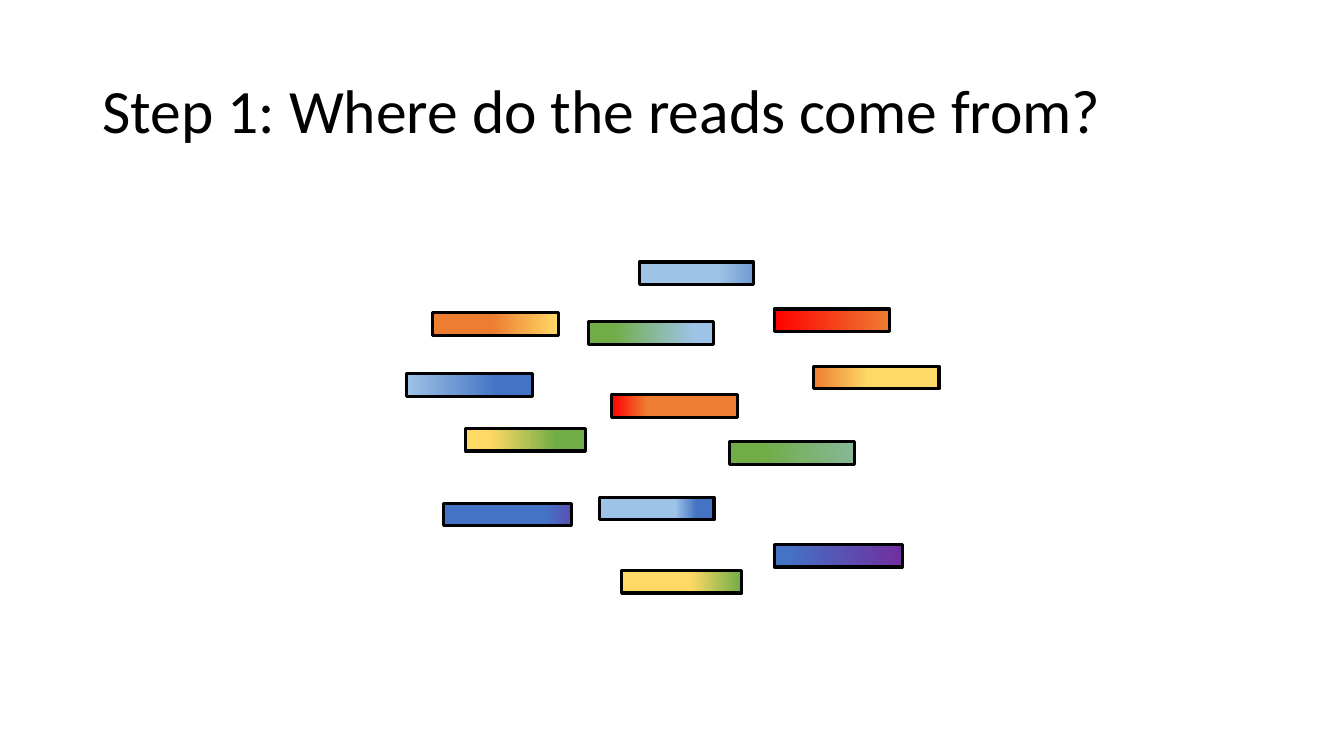
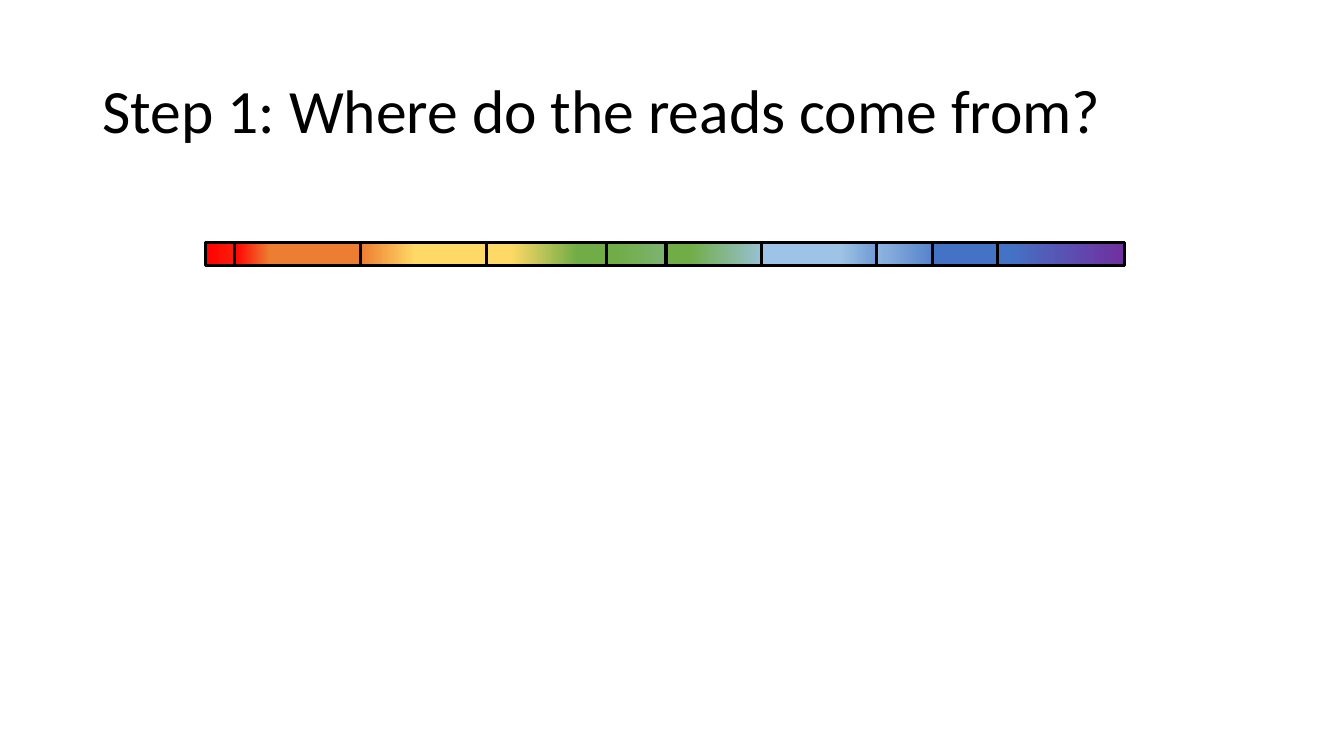
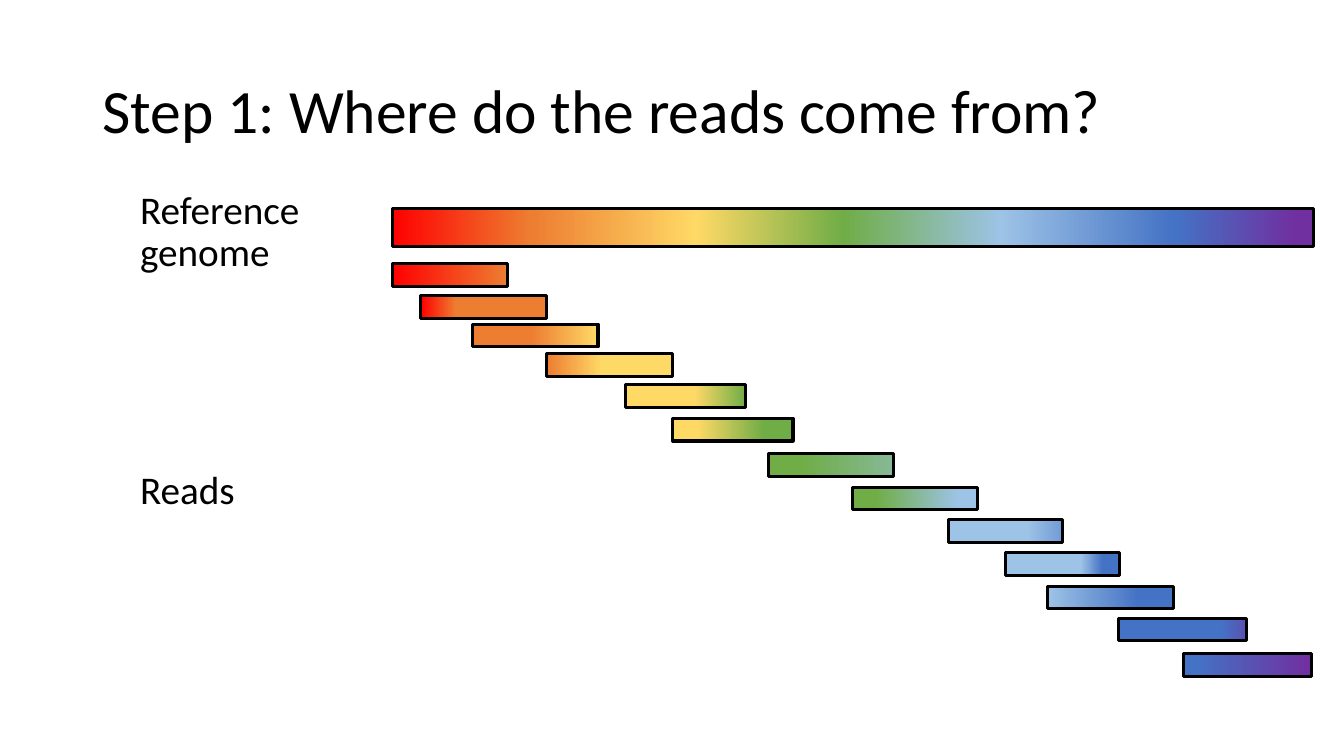
from copy import deepcopy
from dataclasses import dataclass

from pptx import Presentation
from pptx.dml.color import RGBColor
from pptx.enum.shapes import MSO_SHAPE
from pptx.enum.text import MSO_ANCHOR, PP_ALIGN
from pptx.oxml.ns import qn
from pptx.util import Emu, Pt

RECTANGLE = MSO_SHAPE.RECTANGLE
LEFT = PP_ALIGN.LEFT
TOP = MSO_ANCHOR.TOP
MIDDLE = MSO_ANCHOR.MIDDLE

COLUMNS, ROWS = 160, 90
CELL = Emu(76200)
TITLE_ONLY = 5


@dataclass(frozen=True)
class Theme:
    font: str = "Calibri"
    ink: str = "000000"
    red: str = "FF0000"
    orange: str = "ED7D31"
    yellow: str = "FFD966"
    green: str = "70AD47"
    teal: str = "87B897"
    sky: str = "9DC3E6"
    azure: str = "719BD5"
    blue: str = "4472C4"
    indigo: str = "5A51B2"
    purple: str = "7030A0"
    title_size: float = 44
    label_size: float = 28
    outline: float = 2.25
    line_spacing: float = 0.9
    space_before: float = 10


THEME = Theme()


@dataclass(frozen=True)
class Read:
    offset: float
    length: float
    stops: tuple
    scatter: tuple
    aligned_row: float


TITLE = "Step 1: Where do the reads come from?"
TITLE_BOX = (11, 4.8, 138, 17.4)
READ_HEIGHT = 2.7
MERGED_START, MERGED_ROW = 24.5, 28.9
GENOME_BOX = (46.7, 24.8, 109.7, 4.6)
GENOME_STOPS = (
    (0, THEME.red), (15, THEME.orange), (33, THEME.yellow), (49, THEME.green),
    (66, THEME.sky), (85, THEME.blue), (98, THEME.purple),
)
LABEL_COLUMN, LABEL_WIDTH, LABEL_HEIGHT = 15.5, 29.3, 12.7
LABELS = (("Reference\vgenome", 22.1), ("Reads", 55.4))

READS = (
    Read(0, 13.7, ((0, THEME.red), (100, THEME.orange)), (92.2, 36.8), 31.4),
    Read(9.5, 15, ((47, THEME.orange), (100, THEME.yellow)), (51.5, 37.2), 38.6),
    Read(44.8, 14.9, ((27, THEME.green), (100, THEME.teal)), (86.8, 52.6), 54),
    Read(3.4, 15, ((0, THEME.red), (28, THEME.orange)), (72.8, 47), 35.2),
    Read(27.8, 14.3, ((57, THEME.yellow), (100, THEME.green)), (74, 67.9), 45.8),
    Read(18.4, 15, ((0, THEME.orange), (44, THEME.yellow)), (96.8, 43.6), 42.1),
    Read(33.4, 14.3, ((20, THEME.yellow), (76, THEME.green)), (55.4, 51), 49.8),
    Read(54.8, 14.9, ((19, THEME.green), (84, THEME.sky)), (70.1, 38.3), 58),
    Read(73, 13.6, ((66, THEME.sky), (85, THEME.blue)), (71.4, 59.2), 65.8),
    Read(78, 15, ((0, THEME.sky), (73, THEME.blue)), (48.4, 44.5), 69.8),
    Read(86.5, 15.2, ((80, THEME.blue), (100, THEME.indigo)), (52.8, 59.9), 73.6),
    Read(94.2, 15.2, ((10, THEME.blue), (98, THEME.purple)), (92.2, 64.8), 77.8),
    Read(66.2, 13.6, ((69, THEME.sky), (100, THEME.azure)), (76.1, 31.2), 61.9),
)


def cells(*counts):
    return [Emu(round(count * CELL)) for count in counts]


def apply(target, values):
    for name, value in values.items():
        setattr(target, name, value)


def write_text(frame, text, size, anchor, space_before=0):
    frame.text = text
    apply(frame, {"word_wrap": True, "vertical_anchor": anchor})
    paragraph = frame.paragraphs[0]
    apply(paragraph, {
        "alignment": LEFT,
        "line_spacing": THEME.line_spacing,
        "space_before": Pt(space_before),
    })
    for run in paragraph.runs:
        apply(run.font, {"name": THEME.font, "size": Pt(size)})
        run.font.color.rgb = RGBColor.from_string(THEME.ink)


def add_titled_slide(deck):
    slide = deck.slides.add_slide(deck.slide_layouts[TITLE_ONLY])
    title = slide.shapes.title
    apply(title, dict(zip(("left", "top", "width", "height"), cells(*TITLE_BOX))))
    write_text(title.text_frame, TITLE, THEME.title_size, MIDDLE)
    return slide


def fill_gradient(shape, stops):
    shape.fill.gradient()
    shape.fill.gradient_angle = 0
    stop_list = shape._element.spPr.find(qn("a:gradFill")).find(qn("a:gsLst"))
    for _ in stops[2:]:
        stop_list.append(deepcopy(stop_list[0]))
    for stop, (percent, color) in zip(shape.fill.gradient_stops, stops):
        stop.position = percent / 100
        stop.color.rgb = RGBColor.from_string(color)


def add_strand(slide, box, stops):
    strand = slide.shapes.add_shape(RECTANGLE, *cells(*box))
    strand.shadow.inherit = False
    fill_gradient(strand, stops)
    strand.line.color.rgb = RGBColor.from_string(THEME.ink)
    strand.line.width = Pt(THEME.outline)


def add_reads(slide, locate):
    for read in READS:
        add_strand(slide, (*locate(read), read.length, READ_HEIGHT), read.stops)


def add_label(slide, text, row):
    label = slide.shapes.add_textbox(
        *cells(LABEL_COLUMN, row, LABEL_WIDTH, LABEL_HEIGHT))
    write_text(label.text_frame, text, THEME.label_size, TOP, THEME.space_before)


def main():
    deck = Presentation()
    deck.slide_width, deck.slide_height = cells(COLUMNS, ROWS)

    scattered = add_titled_slide(deck)
    add_reads(scattered, lambda read: read.scatter)

    merged = add_titled_slide(deck)
    add_reads(merged, lambda read: (MERGED_START + read.offset, MERGED_ROW))

    aligned = add_titled_slide(deck)
    add_strand(aligned, GENOME_BOX, GENOME_STOPS)
    add_reads(aligned, lambda read: (GENOME_BOX[0] + read.offset, read.aligned_row))
    for text, row in LABELS:
        add_label(aligned, text, row)

    deck.save("out.pptx")


if __name__ == "__main__":
    main()
